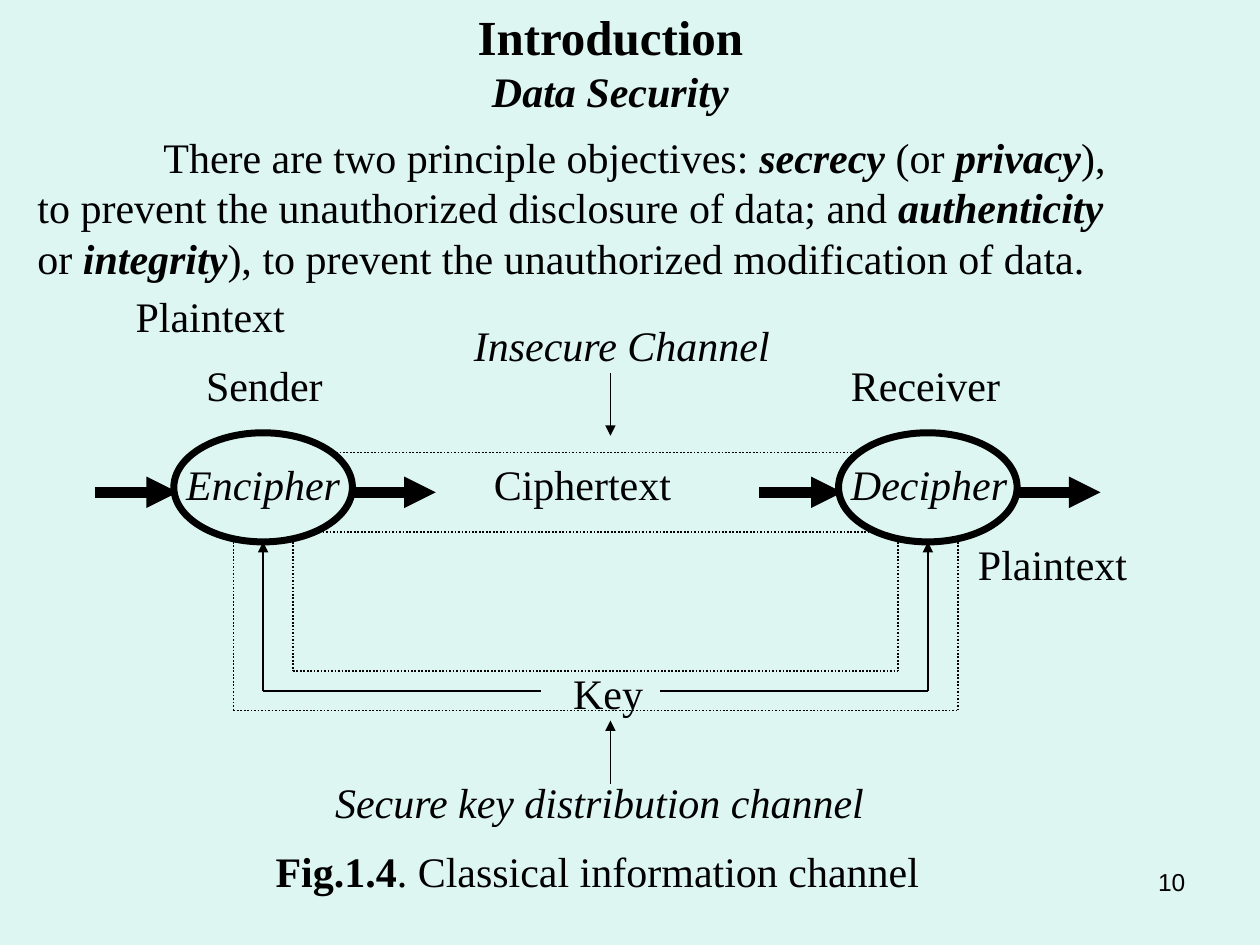
"""Build the slide on the classical information channel on a grid of two millimetres."""
from dataclasses import dataclass
from typing import Optional

from lxml import etree
from pptx import Presentation
from pptx import util as u
from pptx.dml.color import RGBColor
from pptx.enum import dml, shapes, text
from pptx.oxml.ns import qn

BLACK = RGBColor(0x00, 0x00, 0x00)
MINT = RGBColor(0xDE, 0xF6, 0xF1)
ORIGIN_X, ORIGIN_Y = u.Inches(0.75), u.Inches(2.49)
MIDDLE, AXIS = 52, 18
OVAL_WIDTH, OVAL_HEIGHT, OVAL_TOP = 18, 11, 12
OVAL_BOTTOM = OVAL_TOP + OVAL_HEIGHT
ROW_HEIGHT = 6.4


@dataclass(frozen=True)
class Span:
    words: str
    bold: bool = False
    italic: bool = False
    size: float = 24
    font: str = "Times New Roman"


@dataclass(frozen=True)
class Label:
    words: str
    column: float
    row: float
    width: float
    italic: bool = False


@dataclass(frozen=True)
class Line:
    start: tuple[float, float]
    end: tuple[float, float]
    weight: float = 1
    dotted: bool = False
    arrow: bool = False


@dataclass(frozen=True)
class Station:
    column: float
    action: str
    role: str
    role_column: float
    outer_drop: float
    inner_drop: float
    key_end: float


STATIONS = (
    Station(8, "Encipher", "Sender", 10, 14, 20, 45),
    Station(75, "Decipher", "Receiver", 75, 87, 81, 57),
)
LABELS = (
    Label("Plaintext", 2.9, -3, 19),
    Label("Insecure Channel", 37, 0, 33, italic=True),
    Label("Ciphertext", 39, 14, 22),
    Label("Plaintext", 87.8, 22, 19.7),
    Label("Key", 47, 35, 11.6),
    Label("Secure key distribution channel", 23, 46, 66, italic=True),
)
CHANNEL_LINES = (
    Line((24, 14), (77, 14), dotted=True),
    Line((23, 22), (78, 22), dotted=True),
    Line((20, 36), (81, 36), dotted=True),
    Line((14, 40), (87, 40), dotted=True),
    Line((MIDDLE, 6), (MIDDLE, 12.3), arrow=True),
    Line((MIDDLE, 47.4), (MIDDLE, 41), arrow=True),
)
TITLE = (
    (Span("Introduction", bold=True, size=28),),
    (Span("Data Security", bold=True, italic=True),),
)
OBJECTIVES = (
    (
        Span("There are two principle objectives: "),
        Span("secrecy ", bold=True, italic=True),
        Span("(or "),
        Span("privacy", bold=True, italic=True),
        Span("),"),
    ),
    (
        Span("to prevent the unauthorized disclosure of data; and "),
        Span("authenticity", bold=True, italic=True),
    ),
    (
        Span("or "),
        Span("integrity", bold=True, italic=True),
        Span("), to prevent the unauthorized modification of data."),
    ),
)
CAPTION = ((Span("Fig.1.4", bold=True), Span(". Classical information channel")),)
PAGE_NUMBER = ((Span("10", size=14, font="Arial"),),)


def across(column: float) -> int:
    return ORIGIN_X + u.Mm(2 * column)


def down(row: float) -> int:
    return ORIGIN_Y + u.Mm(2 * row)


def add_text(page, paragraphs: tuple[tuple[Span, ...], ...], *, column: float, row: float,
             width: float, height: float = ROW_HEIGHT,
             align: Optional[text.PP_ALIGN] = None, indent: float = 0) -> None:
    box = page.shapes.add_textbox(across(column), down(row), u.Mm(2 * width), u.Mm(2 * height))
    frame = box.text_frame
    frame.word_wrap = True
    for index, spans in enumerate(paragraphs):
        para = frame.add_paragraph() if index else frame.paragraphs[0]
        para.alignment = align
        if indent and index == 0:
            para._p.get_or_add_pPr().set("indent", str(u.Inches(indent)))
        for span in spans:
            run = para.add_run()
            run.text = span.words
            run.font.name = span.font
            run.font.size = u.Pt(span.size)
            run.font.bold = span.bold
            run.font.italic = span.italic
            run.font.color.rgb = BLACK


def add_label(page, label: Label) -> None:
    add_text(page, ((Span(label.words, italic=label.italic),),),
             column=label.column, row=label.row, width=label.width)


def add_line(page, line: Line) -> None:
    connector = page.shapes.add_connector(
        shapes.MSO_CONNECTOR.STRAIGHT,
        across(line.start[0]), down(line.start[1]), across(line.end[0]), down(line.end[1]))
    connector.line.color.rgb = BLACK
    connector.line.width = u.Pt(line.weight)
    if line.dotted:
        connector.line.dash_style = dml.MSO_LINE.ROUND_DOT
    if line.arrow:
        etree.SubElement(connector.line._get_or_add_ln(), qn("a:tailEnd"), type="triangle")
    etree.SubElement(connector._element.spPr, qn("a:effectLst"))


def add_station(page, station: Station) -> None:
    left = station.column
    center, right = left + OVAL_WIDTH / 2, left + OVAL_WIDTH
    oval = page.shapes.add_shape(
        shapes.MSO_SHAPE.OVAL, across(left), down(OVAL_TOP),
        u.Mm(2 * OVAL_WIDTH), u.Mm(2 * OVAL_HEIGHT))
    oval.shadow.inherit = False
    oval.fill.background()
    oval.line.color.rgb = BLACK
    oval.line.width = u.Pt(4)
    add_label(page, Label(station.action, left, 14, 19, italic=True))
    add_label(page, Label(station.role, station.role_column, 4, 18))
    for line in (
        Line((left - 8, AXIS), (left + 0.4, AXIS), weight=6, arrow=True),
        Line((right, AXIS), (right + 8.4, AXIS), weight=6, arrow=True),
        Line((station.outer_drop, OVAL_BOTTOM), (station.outer_drop, 40), dotted=True),
        Line((station.inner_drop, OVAL_BOTTOM), (station.inner_drop, 36), dotted=True),
        Line((station.key_end, 38), (center, 38)),
        Line((center, 38), (center, OVAL_BOTTOM), arrow=True),
    ):
        add_line(page, line)


def main() -> None:
    deck = Presentation()
    deck.slide_width, deck.slide_height = u.Inches(10), u.Inches(7.5)
    page = deck.slides.add_slide(deck.slide_layouts[6])
    page.background.fill.solid()
    page.background.fill.fore_color.rgb = MINT
    for station in STATIONS:
        add_station(page, station)
    for line in CHANNEL_LINES:
        add_line(page, line)
    for label in LABELS:
        add_label(page, label)
    add_text(page, CAPTION, column=17, row=53, width=78)
    add_text(page, TITLE, column=32, row=-31.6, width=40, height=12.2,
             align=text.PP_ALIGN.CENTER)
    add_text(page, OBJECTIVES, column=-7, row=-19, width=120, height=16.5, indent=1)
    add_text(page, PAGE_NUMBER, column=81.6, row=55.1, width=29.6,
             align=text.PP_ALIGN.RIGHT)
    deck.save("out.pptx")


if __name__ == "__main__":
    main()
